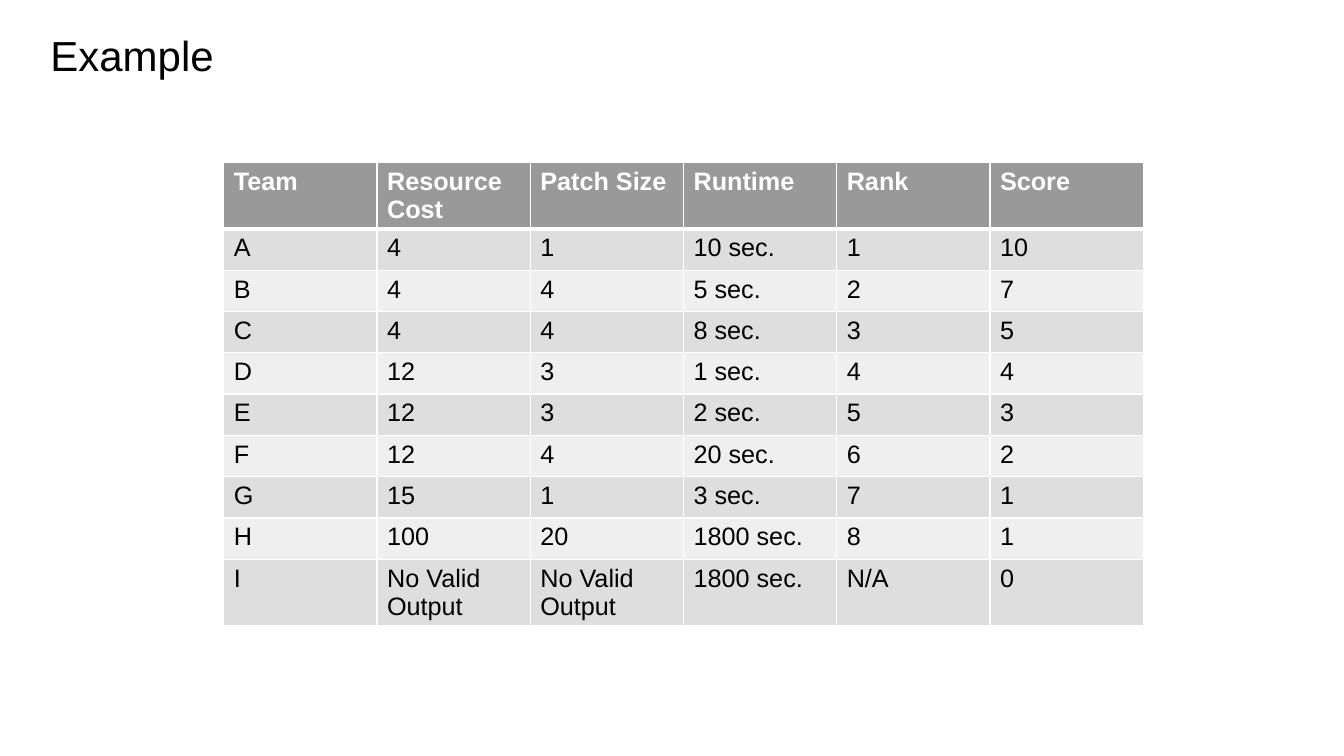
import pptx
import pptx.dml.color
import pptx.enum.text
import pptx.oxml
import pptx.oxml.ns
import pptx.util

# Content
TITLE = "Example"
HEADINGS = ("Team", "Resource Cost", "Patch Size", "Runtime", "Rank", "Score")
RESULTS = [
    ("A", "4", "1", "10 sec.", "1", "10"),
    ("B", "4", "4", "5 sec.", "2", "7"),
    ("C", "4", "4", "8 sec.", "3", "5"),
    ("D", "12", "3", "1 sec.", "4", "4"),
    ("E", "12", "3", "2 sec.", "5", "3"),
    ("F", "12", "4", "20 sec.", "6", "2"),
    ("G", "15", "1", "3 sec.", "7", "1"),
    ("H", "100", "20", "1800 sec.", "8", "1"),
    ("I", "No Valid Output", "No Valid Output", "1800 sec.", "N/A", "0"),
]

# Style
COLORS = {"text": "000000", "heading": "FFFFFF", "header": "999999",
          "odd": "DEDEDE", "even": "EFEFEF", "border": "FFFFFF"}
FONT = "Arial"
SLIDE_W, SLIDE_H = 13.33, 7.5
MARGIN, TITLE_TOP, TITLE_H = 0.4, 0.3, 1
TABLE_LEFT, TABLE_TOP = 2.22, 1.61
COLUMN_W, ROW_H, LAST_ROW_H = 1.52, 0.41, 0.29
inches = pptx.util.Inches


def rgb(name):
    return pptx.dml.color.RGBColor.from_string(COLORS[name])


def style_text(paragraph, size, color, bold=False):
    font = paragraph.font
    font.name, font.size, font.bold = FONT, pptx.util.Pt(size), bold
    font.color.rgb = rgb(color)


def set_borders(cell, **widths):
    """Border lines come before the fill, in the order L, R, T, B."""
    properties = cell._tc.get_or_add_tcPr()
    for position, side in enumerate("LRTB"):
        width = pptx.util.Pt(widths.get(side, 1))
        properties.insert(position, pptx.oxml.parse_xml(
            f'<a:ln{side} {pptx.oxml.ns.nsdecls("a")} w="{width}"><a:solidFill>'
            f'<a:srgbClr val="{COLORS["border"]}"/></a:solidFill></a:ln{side}>'))


def add_title(slide):
    title = slide.shapes.title
    title.left, title.top = inches(MARGIN), inches(TITLE_TOP)
    title.width, title.height = inches(SLIDE_W - 2 * MARGIN), inches(TITLE_H)
    frame = title.text_frame
    frame.text = TITLE
    frame.vertical_anchor = pptx.enum.text.MSO_ANCHOR.TOP
    paragraph = frame.paragraphs[0]
    paragraph.alignment = pptx.enum.text.PP_ALIGN.LEFT
    paragraph.line_spacing = 0.9
    style_text(paragraph, 30, "text")


def add_results(slide):
    rows = [HEADINGS, *RESULTS]
    table = slide.shapes.add_table(
        len(rows), len(HEADINGS), inches(TABLE_LEFT), inches(TABLE_TOP),
        inches(COLUMN_W * len(HEADINGS)),
        inches(ROW_H * len(RESULTS) + LAST_ROW_H)).table
    for column in table.columns:
        column.width = inches(COLUMN_W)
    for r, values in enumerate(rows):
        is_header = r == 0
        table.rows[r].height = inches(LAST_ROW_H if r == len(RESULTS) else ROW_H)
        fill = "header" if is_header else "odd" if r % 2 else "even"
        for c, value in enumerate(values):
            cell = table.cell(r, c)
            cell.text = value
            cell.fill.solid()
            cell.fill.fore_color.rgb = rgb(fill)
            set_borders(cell, T=3 if r == 1 else 1, B=3 if is_header else 1)
            style_text(cell.text_frame.paragraphs[0], 18,
                       "heading" if is_header else "text", is_header)


def main():
    deck = pptx.Presentation()
    deck.slide_width, deck.slide_height = inches(SLIDE_W), inches(SLIDE_H)
    slide = deck.slides.add_slide(deck.slide_layouts[5])
    add_title(slide)
    add_results(slide)
    deck.save("out.pptx")


if __name__ == "__main__":
    main()
